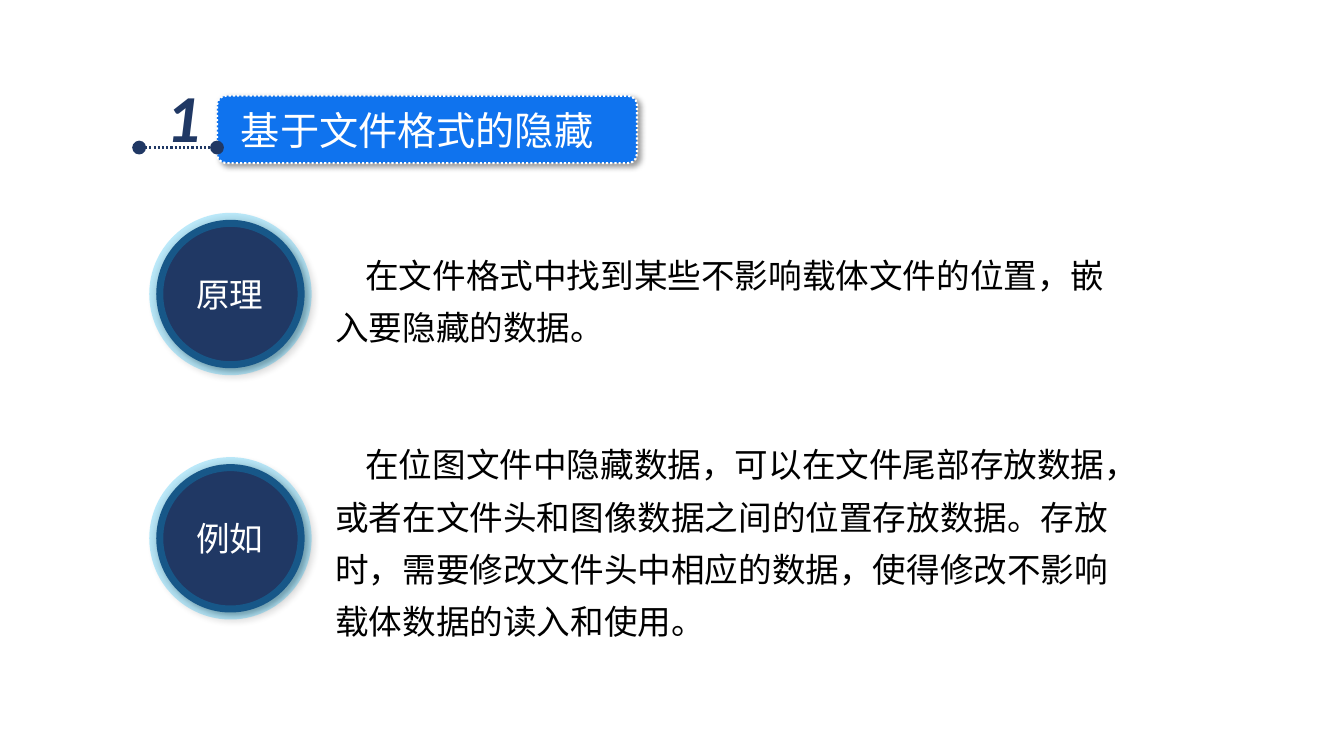
from dataclasses import dataclass

from pptx import Presentation
from pptx.dml.color import RGBColor
from pptx.enum.dml import MSO_LINE
from pptx.enum.shapes import MSO_CONNECTOR, MSO_SHAPE
from pptx.enum.text import MSO_AUTO_SIZE
from pptx.oxml import parse_xml
from pptx.oxml.ns import nsdecls
from pptx.util import Pt


@dataclass(frozen=True)
class Theme:
    navy: str = "203864"
    blue: str = "0F73EE"
    cyan: str = "00B0F0"
    white: str = "FFFFFF"
    black: str = "000000"
    body_font: str = "Arial"
    title_font: str = "Noto Sans CJK SC"
    number_font: str = "Calibri"
    body_size: int = 24
    title_size: int = 28
    number_size: int = 48


THEME = Theme()

# Shared layout, in points
PANEL_LEFT, PANEL_WIDTH = 177.8, 654.5
PASSAGE_LEFT, PASSAGE_WIDTH = 232.5, 576
PANEL_PADDING = 13
CIRCLE_LEFT, CIRCLE_SIZE = 111.6, 106
LABEL_WIDTH, LABEL_HEIGHT = 63, 36
FIRST_LINE_INDENT = 21.4

# Panel top, panel height, label, passage
SECTIONS = [
    (157, 106, "原理", "在文件格式中找到某些不影响载体文件的位置，嵌入要隐藏的数据。"),
    (292, 185, "例如",
     "在位图文件中隐藏数据，可以在文件尾部存放数据，或者在文件头和图像数据之间的位置存放数据。"
     "存放时，需要修改文件头中相应的数据，使得修改不影响载体数据的读入和使用。"),
]


def set_alpha(fill, percent):
    color = fill._xPr.find(".//{*}srgbClr")
    color.append(parse_xml(f'<a:alpha {nsdecls("a")} val="{percent * 1000}"/>'))


def add_shadow(shape):
    effects = shape._element.spPr.find("{*}effectLst")
    effects.append(parse_xml(
        f'<a:outerShdw {nsdecls("a")} blurRad="{Pt(4)}" dist="{Pt(3)}" dir="2700000" '
        f'algn="tl" rotWithShape="0"><a:srgbClr val="{THEME.black}">'
        '<a:alpha val="40000"/></a:srgbClr></a:outerShdw>'))


def add_filled(slide, preset, left, top, width, height, color):
    shape = slide.shapes.add_shape(preset, Pt(left), Pt(top), Pt(width), Pt(height))
    shape.shadow.inherit = False
    shape.fill.solid()
    shape.fill.fore_color.rgb = RGBColor.from_string(color)
    shape.line.fill.background()
    return shape


def style_line(line, color, width):
    line.color.rgb = RGBColor.from_string(color)
    line.width = Pt(width)


def add_text(slide, left, top, width, height, text, font_name, size, color, wrap=False):
    box = slide.shapes.add_textbox(Pt(left), Pt(top), Pt(width), Pt(height))
    frame = box.text_frame
    frame.word_wrap = wrap
    frame.auto_size = MSO_AUTO_SIZE.SHAPE_TO_FIT_TEXT
    paragraph = frame.paragraphs[0]
    paragraph.text = text
    paragraph.font.name = font_name
    paragraph.font.size = Pt(size)
    paragraph.font.color.rgb = RGBColor.from_string(color)
    return paragraph


def add_panel(slide, top, height, passage):
    panel = add_filled(slide, MSO_SHAPE.ROUNDED_RECTANGLE,
                       PANEL_LEFT, top, PANEL_WIDTH, height, THEME.white)
    panel.adjustments[0] = 0.08
    set_alpha(panel.fill, 50)
    paragraph = add_text(slide, PASSAGE_LEFT, top + PANEL_PADDING, PASSAGE_WIDTH,
                         height - 2 * PANEL_PADDING, passage, THEME.body_font,
                         THEME.body_size, THEME.black, wrap=True)
    paragraph.line_spacing = 1.3
    properties = paragraph._p.get_or_add_pPr()
    properties.set("marL", "0")
    properties.set("indent", str(Pt(FIRST_LINE_INDENT)))


def add_badge(slide, middle, label):
    circle = add_filled(slide, MSO_SHAPE.OVAL, CIRCLE_LEFT, middle - CIRCLE_SIZE / 2,
                        CIRCLE_SIZE, CIRCLE_SIZE, THEME.navy)
    style_line(circle.line, THEME.cyan, 10)
    set_alpha(circle.line.fill, 25)
    add_shadow(circle)
    add_text(slide, CIRCLE_LEFT + (CIRCLE_SIZE - LABEL_WIDTH) / 2,
             middle - LABEL_HEIGHT / 2, LABEL_WIDTH, LABEL_HEIGHT, label,
             THEME.body_font, THEME.body_size, THEME.white)


def add_heading(slide, number, title):
    banner = add_filled(slide, MSO_SHAPE.ROUNDED_RECTANGLE, 155, 68.4, 300, 48.2, THEME.blue)
    banner.adjustments[0] = 0.137
    style_line(banner.line, THEME.white, 1.5)
    banner.line.dash_style = MSO_LINE.ROUND_DOT
    add_shadow(banner)
    add_text(slide, 165, 72.7, 269, 41, title, THEME.title_font, THEME.title_size, THEME.white)
    numeral = add_text(slide, 111.6, 50.4, 39, 65.5, number,
                       THEME.number_font, THEME.number_size, THEME.navy)
    numeral.font.bold = True
    numeral.font.italic = True


def add_dotted_rule(slide, start, end, y):
    rule = slide.shapes.add_connector(MSO_CONNECTOR.STRAIGHT, Pt(start), Pt(y), Pt(end), Pt(y))
    style_line(rule.line, THEME.navy, 1.5)
    rule.line.dash_style = MSO_LINE.ROUND_DOT
    for tip in ("headEnd", "tailEnd"):
        rule.line._get_or_add_ln().append(
            parse_xml(f'<a:{tip} {nsdecls("a")} type="oval" w="lg" len="lg"/>'))
    rule._element.spPr.append(parse_xml(f'<a:effectLst {nsdecls("a")}/>'))


def main():
    presentation = Presentation()
    presentation.slide_width, presentation.slide_height = Pt(960), Pt(540)
    slide = presentation.slides.add_slide(presentation.slide_layouts[6])

    # Sections: passage panel with a round label
    for top, height, label, passage in SECTIONS:
        add_panel(slide, top, height, passage)
        add_badge(slide, top + height / 2, label)

    # Numbered heading
    add_heading(slide, "1", "基于文件格式的隐藏")
    add_dotted_rule(slide, 99.4, 155, 105.4)

    presentation.save("out.pptx")


if __name__ == "__main__":
    main()
